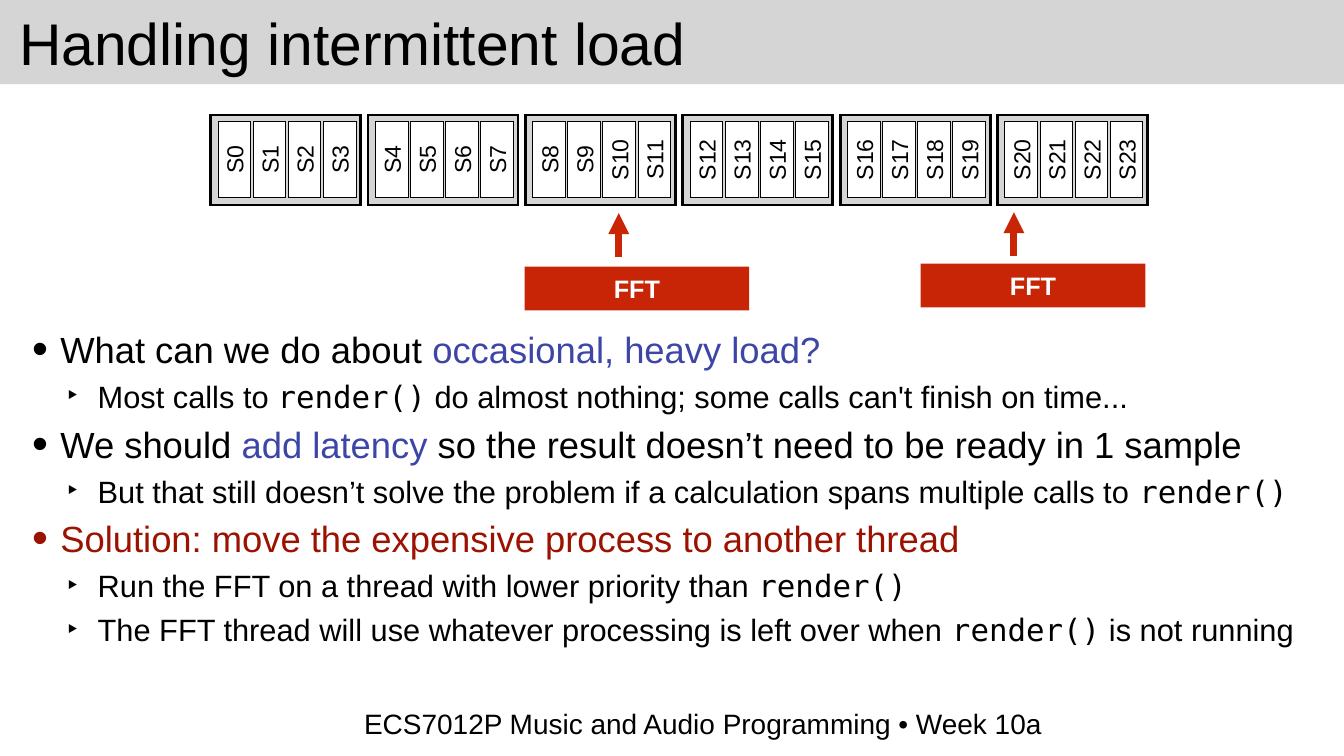
from dataclasses import dataclass

from lxml import etree
from pptx import Presentation
from pptx import util as u
from pptx.dml.color import RGBColor
from pptx.enum import shapes, text
from pptx.oxml import ns

WIDTH, HEIGHT = u.Inches(26.67), u.Inches(15)
COLUMN, ROW = WIDTH / 100, HEIGHT / 100
COLORS = {"black": "000000", "white": "FFFFFF", "gray": "D5D5D5", "blue": "3D46A6",
          "dark red": "9B1200", "red": "C82506", "arrow": "C82605"}
SANS, MONO = "Arial", "DejaVu Sans Mono"
FRAMES, SLOTS = 6, 4
FRAME_PITCH, SLOT_PITCH = 11.71, 2.61


@dataclass(frozen=True)
class Area:
    left: float
    top: float
    width: float
    height: float

    def emu(self) -> list[int]:
        return [round(self.left * COLUMN), round(self.top * ROW),
                round(self.width * COLUMN), round(self.height * ROW)]

    def centered(self, width: float, height: float) -> "Area":
        return Area(self.left + (self.width - width) / 2,
                    self.top + (self.height - height) / 2, width, height)


@dataclass(frozen=True)
class Span:
    words: str
    color: str = "black"
    font: str = SANS


@dataclass(frozen=True)
class Level:
    size: int
    margin: float
    hanging: float
    bullet: str
    bullet_percent: int


@dataclass(frozen=True)
class Point:
    level: int
    spans: tuple[Span, ...]


@dataclass(frozen=True)
class Task:
    area: Area
    arrow_column: float
    arrow_bottom: float
    arrow_top: float


LEVELS = (Level(52, 0.56, 0.56, "•", 125), Level(44, 1.3, 0.61, "‣", 100))
RENDER = Span("render()", font=MONO)
POINTS = (
    Point(0, (Span("What can we do about "), Span("occasional, heavy load?", "blue"))),
    Point(1, (Span("Most calls to "), RENDER,
              Span(" do almost nothing; some calls can't finish on time..."))),
    Point(0, (Span("We should"), Span(" add latency", "blue"),
              Span(" so the result doesn’t need to be ready in 1 sample"))),
    Point(1, (Span("But that still doesn’t solve the problem if a calculation "
                   "spans multiple calls to "), RENDER)),
    Point(0, (Span("Solution: move the expensive process to another thread", "dark red"),)),
    Point(1, (Span("Run the FFT on a thread with lower priority than "), RENDER)),
    Point(1, (Span("The FFT thread will use whatever processing is left over when "),
              RENDER, Span(" is not running"))),
)
TASKS = (Task(Area(39.03, 35.27, 16.72, 5.8), 46.04, 34, 28.2),
         Task(Area(68.5, 34.87, 16.72, 5.8), 75.44, 33.87, 28.07))


def rgb(color: str) -> RGBColor:
    return RGBColor.from_string(COLORS[color])


def add_block(parent, area: Area, fill: str, line_width: float = 0) -> None:
    block = parent.add_shape(shapes.MSO_SHAPE.RECTANGLE, *area.emu())
    block.shadow.inherit = False
    block.fill.solid()
    block.fill.fore_color.rgb = rgb(fill)
    if line_width:
        block.line.color.rgb = rgb("black")
        block.line.width = u.Pt(line_width)
        etree.SubElement(block.line._get_or_add_ln(), ns.qn("a:miter"), lim="400000")
    else:
        block.line.fill.background()


def add_box(parent, area: Area, anchor=text.MSO_ANCHOR.MIDDLE):
    box = parent.add_textbox(*area.emu())
    frame = box.text_frame
    frame.word_wrap = True
    frame.vertical_anchor = anchor
    frame.margin_left = frame.margin_right = u.Inches(0.06)
    frame.margin_top = frame.margin_bottom = u.Inches(0.06)
    return box


def add_span(para, span: Span, size: float, bold: bool = False) -> None:
    run = para.add_run()
    run.text = span.words
    run.font.name = span.font
    run.font.size = u.Pt(size)
    run.font.bold = bold
    run.font.color.rgb = rgb(span.color)


def add_label(parent, area: Area, span: Span, size: float, centered: bool = True,
              bold: bool = False):
    box = add_box(parent, area)
    para = box.text_frame.paragraphs[0]
    para.alignment = text.PP_ALIGN.CENTER if centered else text.PP_ALIGN.LEFT
    add_span(para, span, size, bold)
    return box


def add_frame(page, number: int) -> None:
    group = page.shapes.add_group_shape().shapes
    area = Area(15.67 + number * FRAME_PITCH, 15.2, 11.17, 11.93)
    add_block(group, area, "gray", 4)
    for index in range(SLOTS):
        slot = Area(area.left + 0.54 + index * SLOT_PITCH, 16.1, 2.44, 10.07)
        add_block(group, slot, "white", 1)
        name = Span(f"S{number * SLOTS + index}")
        label = add_label(group, slot.centered(4.4, 4.27), name, 33)
        label.rotation = 270


def add_task(page, task: Task) -> None:
    group = page.shapes.add_group_shape().shapes
    add_block(group, task.area, "red")
    add_label(group, task.area.centered(9.75, 5.8), Span("FFT", "white"), 36, bold=True)
    x = round(task.arrow_column * COLUMN)
    arrow = page.shapes.add_connector(
        shapes.MSO_CONNECTOR.STRAIGHT, x, round(task.arrow_bottom * ROW),
        x, round(task.arrow_top * ROW))
    arrow.line.color.rgb = rgb("arrow")
    arrow.line.width = u.Pt(10)
    etree.SubElement(arrow.line._get_or_add_ln(), ns.qn("a:tailEnd"), type="triangle")
    etree.SubElement(arrow._element.spPr, ns.qn("a:effectLst"))


def add_points(page, area: Area) -> None:
    frame = add_box(page.shapes, area, text.MSO_ANCHOR.TOP).text_frame
    for index, point in enumerate(POINTS):
        para = frame.add_paragraph() if index else frame.paragraphs[0]
        level = LEVELS[point.level]
        para.level = point.level
        props = para._p.get_or_add_pPr()
        props.set("marL", str(u.Inches(level.margin)))
        props.set("indent", str(-u.Inches(level.hanging)))
        etree.SubElement(props, ns.qn("a:buSzPct"), val=str(level.bullet_percent * 1000))
        etree.SubElement(props, ns.qn("a:buFont"), typeface=SANS)
        etree.SubElement(props, ns.qn("a:buChar"), char=level.bullet)
        if index:
            para.space_before = u.Pt(10)
        for span in point.spans:
            add_span(para, span, level.size)


def main() -> None:
    deck = Presentation()
    deck.slide_width, deck.slide_height = WIDTH, HEIGHT
    page = deck.slides.add_slide(deck.slide_layouts[6])
    add_block(page.shapes, Area(0, -0.13, 100, 11.27), "gray")
    add_points(page, Area(2.17, 42.87, 96.7, 46.87))
    add_label(page.shapes, Area(1.2, -0.13, 97.6, 11.27),
              Span("Handling intermittent load"), 84, centered=False)
    for number in range(FRAMES):
        add_frame(page, number)
    for task in TASKS:
        add_task(page, task)
    add_label(page.shapes, Area(17.62, 92.07, 69.33, 7.2),
              Span("ECS7012P Music and Audio Programming • Week 10a"), 40)
    deck.save("out.pptx")


if __name__ == "__main__":
    main()
